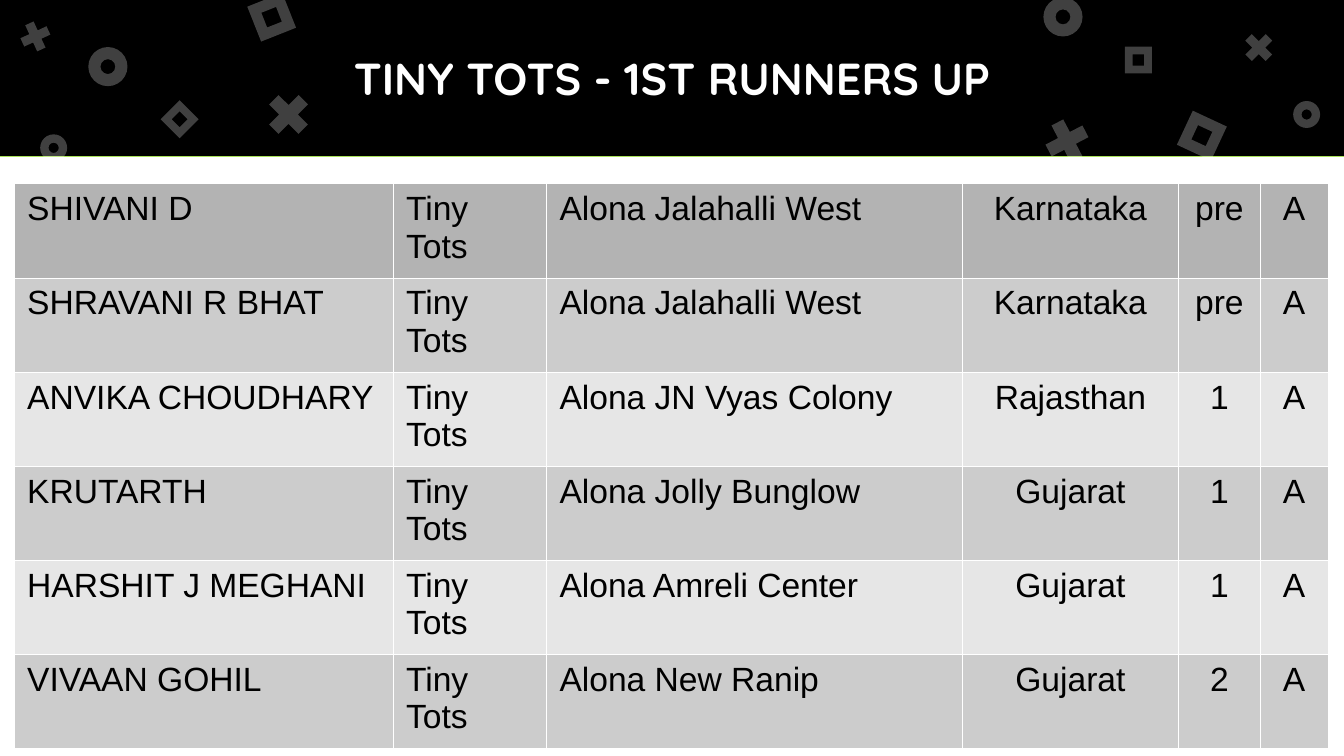
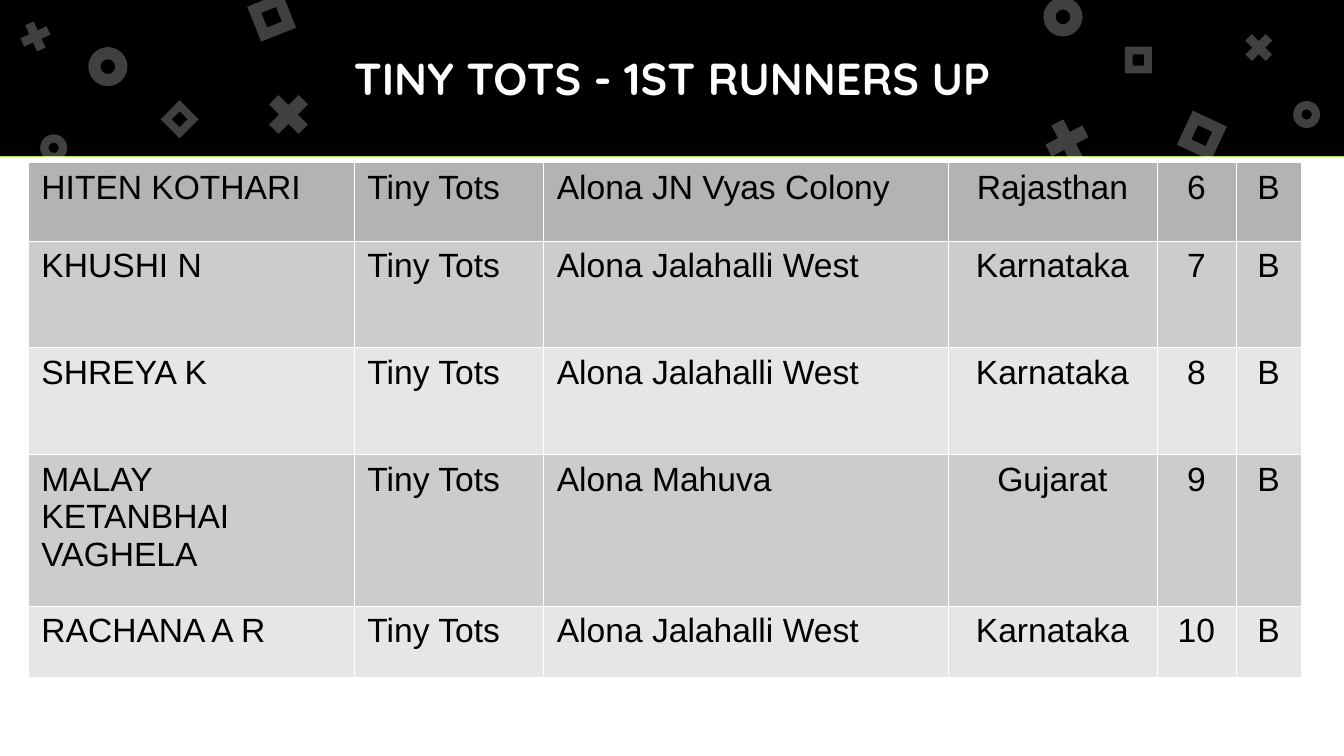
from lxml.etree import SubElement
from pptx import Presentation
from pptx.dml.color import RGBColor
from pptx.enum.shapes import MSO_SHAPE as SHAPE
from pptx.enum.text import MSO_ANCHOR as ANCHOR, PP_ALIGN as ALIGN
from pptx.oxml.ns import qn
from pptx.util import Cm, Pt

BLACK = RGBColor(0x00, 0x00, 0x00)
WHITE = RGBColor(0xFF, 0xFF, 0xFF)
GREEN = RGBColor(0x7B, 0xD1, 0x00)
TOP_GREY = RGBColor(0xB3, 0xB3, 0xB3)
MID_GREY = RGBColor(0xCC, 0xCC, 0xCC)
PALE_GREY = RGBColor(0xE6, 0xE6, 0xE6)

WIDTH, HEIGHT, BAND, GAP = 25.4, 14.29, 2.95, 0.01
TITLE = "TINY TOTS - 1ST RUNNERS UP"
CATEGORY = "Tiny Tots"

SLIDES = [
    {
        "at": (0.26, 3.47),
        "cols": [7.16, 2.9, 7.87, 4.08, 1.55, 1.27],
        "rows": [1.69] * 6,
        "group": "A",
        "winners": [
            ("SHIVANI D", "Alona Jalahalli West", "Karnataka", "pre"),
            ("SHRAVANI R BHAT", "Alona Jalahalli West", "Karnataka", "pre"),
            ("ANVIKA CHOUDHARY", "Alona JN Vyas Colony", "Rajasthan", "1"),
            ("KRUTARTH", "Alona Jolly Bunglow", "Gujarat", "1"),
            ("HARSHIT J MEGHANI", "Alona Amreli Center", "Gujarat", "1"),
            ("VIVAAN GOHIL", "Alona New Ranip", "Gujarat", "2"),
        ],
    },
    {
        "at": (0.53, 3.07),
        "cols": [6.16, 3.58, 7.65, 3.94, 1.5, 1.23],
        "rows": [1.48, 2.02, 2.01, 2.87, 1.35],
        "group": "B",
        "winners": [
            ("HITEN KOTHARI", "Alona JN Vyas Colony", "Rajasthan", "6"),
            ("KHUSHI N", "Alona Jalahalli West", "Karnataka", "7"),
            ("SHREYA K", "Alona Jalahalli West", "Karnataka", "8"),
            ("MALAY KETANBHAI VAGHELA", "Alona Mahuva", "Gujarat", "9"),
            ("RACHANA A R", "Alona Jalahalli West", "Karnataka", "10"),
        ],
    },
]

ADJUST = {SHAPE.DONUT: 0.31, SHAPE.MATH_MULTIPLY: 0.235, SHAPE.FRAME: 0.289}
ORNAMENTS = [
    (SHAPE.DONUT, 1.67, 0.89, 0.74, 0),
    (SHAPE.MATH_MULTIPLY, 4.92, 1.63, 1.07, 0),
    (SHAPE.FRAME, 4.78, -0.03, 0.71, 338.4),
    (SHAPE.DONUT, 19.72, -0.05, 0.74, 0),
    (SHAPE.MATH_MULTIPLY, 19.63, 2.13, 1.07, 17.5),
    (SHAPE.FRAME, 22.36, 2.21, 0.71, 25),
    (SHAPE.DONUT, 0.76, 2.54, 0.51, 0),
    (SHAPE.MATH_MULTIPLY, 0.3, 0.32, 0.74, 20.4),
    (SHAPE.FRAME, 3.14, 2, 0.51, 45),
    (SHAPE.DONUT, 24.44, 1.91, 0.51, 0),
    (SHAPE.MATH_MULTIPLY, 23.42, 0.53, 0.74, 0),
    (SHAPE.FRAME, 21.26, 0.88, 0.51, 0),
]


def write(tf, text, *, size=18, font="Arial", color=BLACK, bold=False, align=ALIGN.LEFT):
    p = tf.paragraphs[0]
    p.alignment = align
    r = p.add_run()
    r.text = text
    r.font.size, r.font.name, r.font.bold = Pt(size), font, bold
    r.font.color.rgb = color


def add_filled(s, kind, x, y, w, h, color):
    sp = s.shapes.add_shape(kind, Cm(x), Cm(y), Cm(w), Cm(h))
    sp.shadow.inherit = False
    sp.fill.solid()
    sp.fill.fore_color.rgb = color
    sp.line.fill.background()
    return sp


def add_backdrop(s):
    s.background.fill.solid()
    s.background.fill.fore_color.rgb = GREEN
    add_filled(s, SHAPE.RECTANGLE, 0, 0, WIDTH, BAND, BLACK)
    add_filled(s, SHAPE.RECTANGLE, 0, BAND + GAP, WIDTH, HEIGHT - BAND - GAP, WHITE)
    for kind, x, y, size, angle in ORNAMENTS:
        sp = add_filled(s, kind, x, y, size, size, WHITE)
        sp.adjustments[0] = ADJUST[kind]
        sp.rotation = angle
        color = sp.fill._xPr.find(qn("a:solidFill"))[0]
        SubElement(color, qn("a:alpha"), val="25000")


def add_title(s):
    tf = s.shapes.add_textbox(Cm(1.27), 0, Cm(WIDTH - 2.54), Cm(BAND)).text_frame
    tf.word_wrap = True
    tf.vertical_anchor = ANCHOR.MIDDLE
    tf.margin_left = tf.margin_right = tf.margin_top = tf.margin_bottom = Cm(0.25)
    write(tf, TITLE, size=24, font="Quicksand", color=WHITE, bold=True, align=ALIGN.CENTER)


def set_borders(cell):
    tcPr = cell._tc.get_or_add_tcPr()
    for i, side in enumerate(("lnL", "lnR", "lnT", "lnB")):
        ln = tcPr.makeelement(qn(f"a:{side}"), {"w": str(Pt(0.06))})
        fill = SubElement(ln, qn("a:solidFill"))
        SubElement(fill, qn("a:srgbClr"), val=str(WHITE))
        tcPr.insert(i, ln)


def row_color(i):
    if i == 0:
        return TOP_GREY
    return MID_GREY if i % 2 else PALE_GREY


def add_winners(s, at, cols, rows, group, winners):
    x, y = at
    frame = s.shapes.add_table(len(rows), len(cols), Cm(x), Cm(y), Cm(sum(cols)), Cm(sum(rows)))
    table = frame.table
    table.first_row = table.horz_banding = False
    for column, w in zip(table.columns, cols):
        column.width = Cm(w)
    for i, (name, center, state, level) in enumerate(winners):
        table.rows[i].height = Cm(rows[i])
        for j, text in enumerate((name, CATEGORY, center, state, level, group)):
            cell = table.cell(i, j)
            cell.fill.solid()
            cell.fill.fore_color.rgb = row_color(i)
            set_borders(cell)
            write(cell.text_frame, text, align=ALIGN.LEFT if j < 3 else ALIGN.CENTER)


def main():
    prs = Presentation()
    prs.slide_width, prs.slide_height = Cm(WIDTH), Cm(HEIGHT)
    for content in SLIDES:
        s = prs.slides.add_slide(prs.slide_layouts[6])
        add_backdrop(s)
        add_title(s)
        add_winners(s, **content)
    prs.save("out.pptx")


if __name__ == "__main__":
    main()
